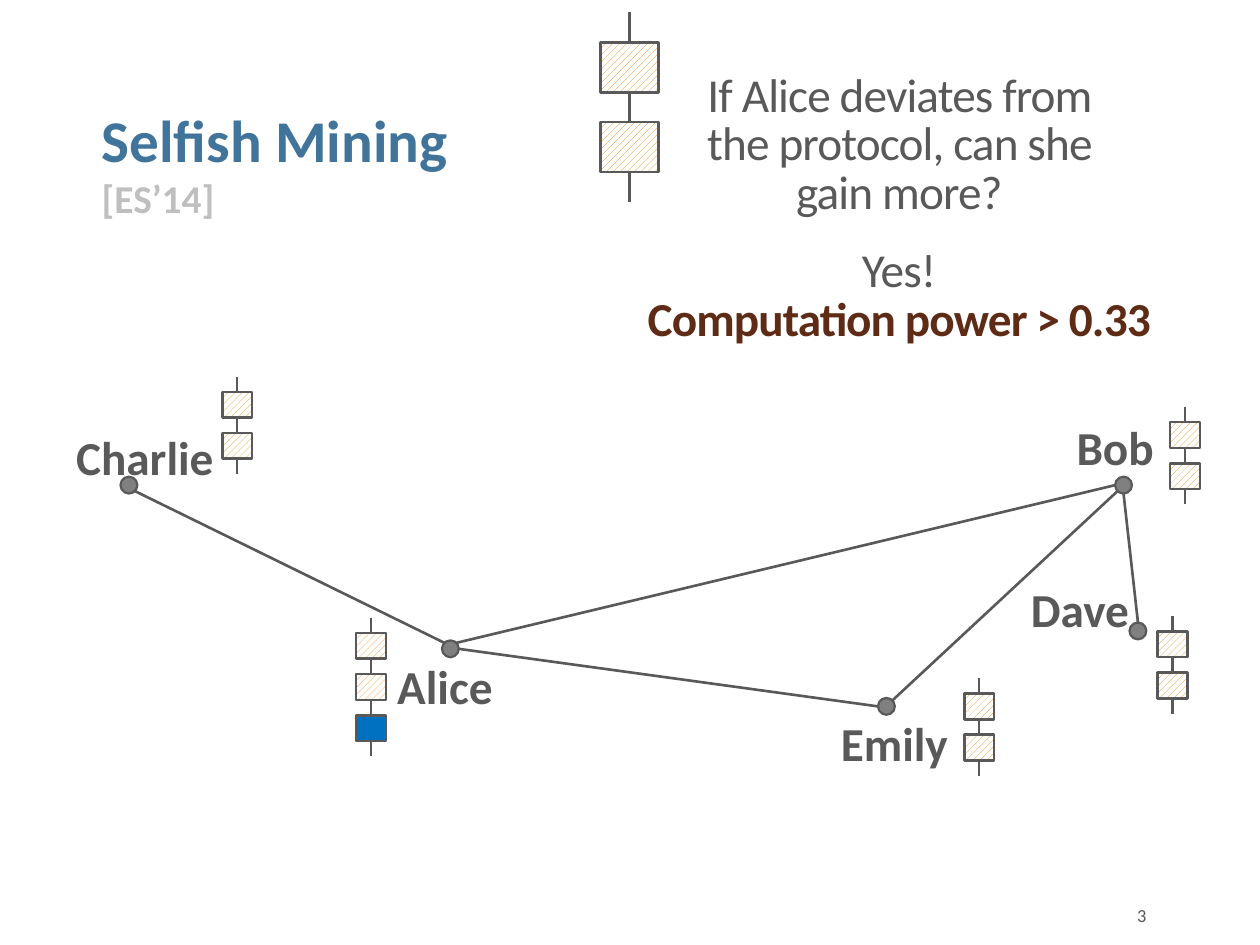
"""Build the Selfish Mining slide: a peer network whose members each hold a block chain."""
from dataclasses import dataclass
from typing import NamedTuple, Optional

from lxml import etree
from pptx import Presentation
from pptx.dml.color import RGBColor
from pptx.enum.dml import MSO_PATTERN
from pptx.enum.shapes import MSO_CONNECTOR, MSO_SHAPE
from pptx.enum.text import MSO_ANCHOR, PP_ALIGN
from pptx.oxml.ns import qn
from pptx.util import Cm, Pt

RECTANGLE, ELLIPSE = MSO_SHAPE.RECTANGLE, MSO_SHAPE.OVAL
STRAIGHT = MSO_CONNECTOR.STRAIGHT
HATCH = MSO_PATTERN.WIDE_UPWARD_DIAGONAL
LEFT, CENTER, RIGHT = PP_ALIGN.LEFT, PP_ALIGN.CENTER, PP_ALIGN.RIGHT
TOP_ANCHOR, MIDDLE_ANCHOR = MSO_ANCHOR.TOP, MSO_ANCHOR.MIDDLE
TOP_SITE, BOTTOM_SITE = 0, 2

NORTH, SOUTH, EAST, WEST = (0, -1), (0, 1), (1, 0), (-1, 0)
NORTH_EAST, NORTH_WEST = (0.71, -0.71), (-0.71, -0.71)
SOUTH_EAST, SOUTH_WEST = (0.71, 0.71), (-0.71, 0.71)


@dataclass(frozen=True)
class Theme:
    font: str = "Calibri"
    ink: RGBColor = RGBColor(0x59, 0x59, 0x59)
    title: RGBColor = RGBColor(0x40, 0x74, 0x9B)
    citation: RGBColor = RGBColor(0xBF, 0xBF, 0xBF)
    emphasis: RGBColor = RGBColor(0x5E, 0x2C, 0x16)
    node: RGBColor = RGBColor(0x80, 0x80, 0x80)
    hatch: RGBColor = RGBColor(0xE4, 0x83, 0x12)
    paper: RGBColor = RGBColor(0xFF, 0xFF, 0xFF)
    private_block: RGBColor = RGBColor(0x00, 0x70, 0xC0)
    title_size: Pt = Pt(33.8)
    citation_size: Pt = Pt(22.5)
    body_size: Pt = Pt(27)
    number_size: Pt = Pt(10.5)
    line: Pt = Pt(1.5)
    node_line: Pt = Pt(1.25)


THEME = Theme()


class Phrase(NamedTuple):
    text: str
    size: Pt = THEME.body_size
    color: RGBColor = THEME.ink
    bold: bool = False
    tracking: int = 0


class Box(NamedTuple):
    left: float
    top: float
    width: float
    height: float


class Chain(NamedTuple):
    center: float
    top: float
    shared: int = 2
    private: int = 0
    scale: float = 1


class Peer(NamedTuple):
    x: float
    y: float
    label_center: float
    label_top: float
    chain: Chain


class Link(NamedTuple):
    start: str
    start_side: tuple
    end: str
    end_side: tuple


BLOCK_WIDTH, BLOCK_HEIGHT, STEM = 0.6, 0.52, 0.31
NODE_RADIUS = 0.17
LABEL_WIDTH, LABEL_HEIGHT = 4, 1.42
TIGHT = -50

PUBLIC_CHAIN = Chain(12.69, 0.25, scale=1.94)
PEERS = {
    "Alice": Peer(9.08, 13.08, 8.97, 13.13, Chain(7.48, 12.45, private=1)),
    "Emily": Peer(17.87, 14.24, 18.03, 14.27, Chain(19.74, 13.67)),
    "Charlie": Peer(2.6, 9.78, 2.92, 8.51, Chain(4.78, 7.59)),
    "Bob": Peer(22.65, 9.78, 22.48, 8.31, Chain(23.89, 8.2)),
    "Dave": Peer(22.94, 12.72, 21.77, 11.58, Chain(23.64, 12.42)),
}
LINKS = [
    Link("Alice", NORTH_EAST, "Bob", WEST),
    Link("Emily", NORTH_EAST, "Bob", SOUTH_WEST),
    Link("Alice", EAST, "Emily", WEST),
    Link("Charlie", SOUTH_EAST, "Alice", NORTH_WEST),
    Link("Dave", NORTH, "Bob", SOUTH),
]


def apply(target, values: dict) -> None:
    for attribute, value in values.items():
        setattr(target, attribute, value)


def add_text(slide, box: Box, paragraphs: list, align=LEFT,
             anchor=TOP_ANCHOR, spacing: Optional[float] = None) -> None:
    frame = slide.shapes.add_textbox(*map(Cm, box)).text_frame
    apply(frame, {"word_wrap": True, "vertical_anchor": anchor})
    for index, phrases in enumerate(paragraphs):
        paragraph = frame.add_paragraph() if index else frame.paragraphs[0]
        apply(paragraph, {"alignment": align, "line_spacing": spacing})
        for position, phrase in enumerate(phrases):
            if position:
                paragraph.add_line_break()
            run = paragraph.add_run()
            run.text = phrase.text
            apply(run.font, {"name": THEME.font, "size": phrase.size, "bold": phrase.bold})
            run.font.color.rgb = phrase.color
            if phrase.tracking:
                run.font._element.set("spc", str(phrase.tracking))


def add_line(slide, start: tuple, end: tuple):
    line = slide.shapes.add_connector(STRAIGHT, *map(Cm, start + end))
    line.line.width = THEME.line
    line.line.color.rgb = THEME.ink
    etree.SubElement(line._element.spPr, qn("a:effectLst"))
    return line


def add_outlined(slide, kind, box: Box, width: Pt, fill: Optional[RGBColor] = None):
    shape = slide.shapes.add_shape(kind, *map(Cm, box))
    shape.shadow.inherit = False
    shape.line.width = width
    shape.line.color.rgb = THEME.ink
    if fill is None:
        shape.fill.patterned()
        shape.fill.pattern = HATCH
        shape.fill.fore_color.rgb = THEME.hatch
        shape.fill.back_color.rgb = THEME.paper
    else:
        shape.fill.solid()
        shape.fill.fore_color.rgb = fill
    return shape


def add_chain(slide, chain: Chain) -> None:
    width, height, stem = (side * chain.scale for side in (BLOCK_WIDTH, BLOCK_HEIGHT, STEM))
    fills = [None] * chain.shared + [THEME.private_block] * chain.private
    blocks = [
        add_outlined(slide, RECTANGLE,
                     Box(chain.center - width / 2, chain.top + stem + i * (height + stem),
                         width, height), THEME.line, fill)
        for i, fill in enumerate(fills)
    ]
    for i, (above, below) in enumerate(zip([None] + blocks, blocks + [None])):
        top = chain.top + i * (height + stem)
        line = add_line(slide, (chain.center, top), (chain.center, top + stem))
        if above is not None:
            line.begin_connect(above, BOTTOM_SITE)
        if below is not None:
            line.end_connect(below, TOP_SITE)


def rim_point(name: str, side: tuple) -> tuple:
    peer = PEERS[name]
    return peer.x + NODE_RADIUS * side[0], peer.y + NODE_RADIUS * side[1]


def add_peer(slide, name: str, peer: Peer) -> None:
    add_outlined(slide, ELLIPSE, Box(peer.x - NODE_RADIUS, peer.y - NODE_RADIUS,
                                     2 * NODE_RADIUS, 2 * NODE_RADIUS),
                 THEME.node_line, THEME.node)
    add_text(slide, Box(peer.label_center - LABEL_WIDTH / 2, peer.label_top,
                        LABEL_WIDTH, LABEL_HEIGHT), [[Phrase(name, bold=True)]], CENTER)
    add_chain(slide, peer.chain)


def main() -> None:
    deck = Presentation()
    apply(deck, {"slide_width": Cm(25.4), "slide_height": Cm(19.05)})
    slide = deck.slides.add_slide(deck.slide_layouts[6])
    add_text(slide, Box(20.62, 17.93, 2.74, 1.02),
             [[Phrase("3", THEME.number_size)]], RIGHT, MIDDLE_ANCHOR)
    add_text(slide, Box(1.8, 1.96, 9.6, 1.7),
             [[Phrase("Selfish Mining", THEME.title_size, THEME.title, True),
               Phrase("[ES’14]", THEME.citation_size, THEME.citation, True)]])
    add_text(slide, Box(13.56, 1.37, 9.14, 1.37),
             [[Phrase("If Alice deviates from the protocol, can she gain more?",
                      tracking=TIGHT)]], CENTER, spacing=0.85)
    add_text(slide, Box(12.27, 4.9, 11.71, 1.37),
             [[Phrase("Yes!", tracking=TIGHT)],
              [Phrase("Computation power > 0.33", color=THEME.emphasis, bold=True,
                      tracking=TIGHT)]], CENTER, spacing=0.85)
    add_chain(slide, PUBLIC_CHAIN)
    for link in LINKS:
        add_line(slide, rim_point(link.start, link.start_side),
                 rim_point(link.end, link.end_side))
    for name, peer in PEERS.items():
        add_peer(slide, name, peer)
    deck.save("out.pptx")


if __name__ == "__main__":
    main()
